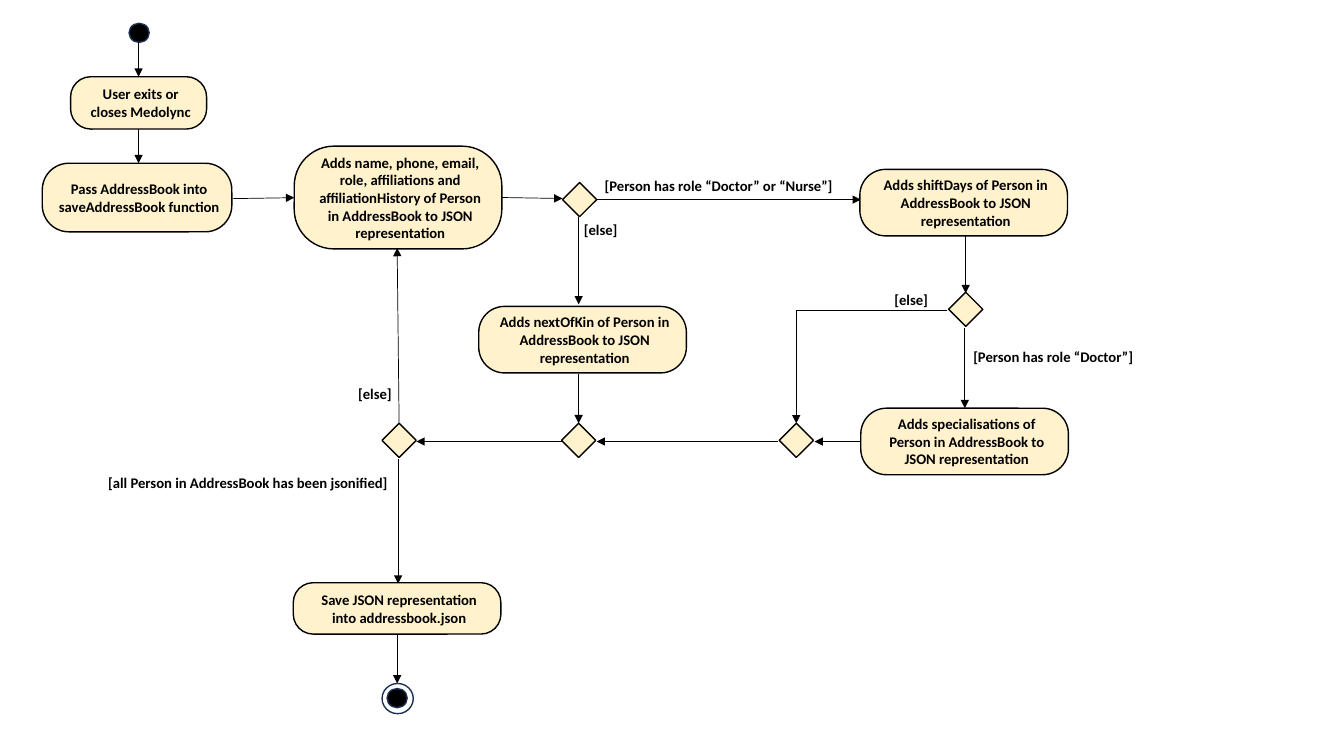
from dataclasses import dataclass

from lxml import etree
from pptx import Presentation
from pptx import util as u
from pptx.dml.color import RGBColor
from pptx.enum import shapes, text
from pptx.oxml.ns import qn


@dataclass(frozen=True)
class Theme:
    ink: RGBColor = RGBColor(0x00, 0x00, 0x00)
    cream: RGBColor = RGBColor(0xFF, 0xF2, 0xCC)
    navy: RGBColor = RGBColor(0x1E, 0x32, 0x56)
    font: str = "Calibri"
    size: float = 10.5
    outline: float = 1
    flow: float = 0.5
    corner: float = 0.387


THEME = Theme()
FONT = {"name": THEME.font, "size": u.Pt(THEME.size), "bold": True}
FRAME = {"word_wrap": True, "vertical_anchor": text.MSO_ANCHOR.MIDDLE,
         "margin_top": u.Pt(3.6), "margin_bottom": u.Pt(3.6),
         "margin_left": u.Pt(7.2), "margin_right": u.Pt(7.2)}
ACTION_WIDTH = 148.3
ACTION_HEIGHT = 47.5
CAPTION_WIDTH = 135.4
CAPTION_SHIFT = 1.5
LABEL_HEIGHT = 20.2
DECISION_SIDE = 17.3
DOT = (14.4, 13.7)


def set_all(target, values):
    for name, value in values.items():
        setattr(target, name, value)


@dataclass
class Box:
    """A region of the page; its parts are placed from its top left corner."""
    page: object
    left: float
    top: float

    def place(self, x, y, width, height):
        return [u.Pt(n) for n in (self.left + x, self.top + y, width, height)]

    def shape(self, kind, x, y, width, height, fill=None, line=THEME.ink):
        shape = self.page.shapes.add_shape(kind, *self.place(x, y, width, height))
        shape.shadow.inherit = False
        if fill is None:
            shape.fill.background()
        else:
            shape.fill.solid()
            shape.fill.fore_color.rgb = fill
        shape.line.color.rgb = line
        shape.line.width = u.Pt(THEME.outline)
        return shape

    def label(self, words, x, y, width, height=LABEL_HEIGHT):
        label = self.page.shapes.add_textbox(*self.place(x, y, width, height))
        set_all(label.text_frame, FRAME)
        para = label.text_frame.paragraphs[0]
        para.alignment = text.PP_ALIGN.CENTER
        span = para.add_run()
        span.text = words
        set_all(span.font, FONT)
        span.font.color.rgb = THEME.ink

    def action(self, words, x, y, width=ACTION_WIDTH, height=ACTION_HEIGHT,
               caption=CAPTION_WIDTH):
        shape = self.shape(shapes.MSO_SHAPE.ROUNDED_RECTANGLE,
                           x, y, width, height, THEME.cream)
        shape.adjustments[0] = THEME.corner
        inset = (width - caption) / 2 + CAPTION_SHIFT
        self.label(words, x + inset, y, caption, height)

    def decision(self, center_x, center_y):
        half = DECISION_SIDE / 2
        shape = self.shape(shapes.MSO_SHAPE.RECTANGLE, center_x - half,
                           center_y - half, DECISION_SIDE, DECISION_SIDE,
                           THEME.cream)
        shape.rotation = 45

    def dot(self, x, y):
        self.shape(shapes.MSO_SHAPE.OVAL, x, y, *DOT, THEME.ink, THEME.navy)

    def arrow(self, x1, y1, x2, y2, kind=shapes.MSO_CONNECTOR.STRAIGHT):
        arrow = self.page.shapes.add_connector(
            kind, *self.place(x1, y1, 0, 0)[:2], *self.place(x2, y2, 0, 0)[:2])
        arrow.line.color.rgb = THEME.ink
        arrow.line.width = u.Pt(THEME.flow)
        etree.SubElement(arrow.line._get_or_add_ln(), qn("a:tailEnd"), type="triangle")
        etree.SubElement(arrow._element.spPr, qn("a:effectLst"))
        return arrow

    def corner_arrow(self, x1, y1, x2, y2):
        """Runs level first, then turns once at its end."""
        arrow = self.arrow(x1, y1, x2, y2, shapes.MSO_CONNECTOR.ELBOW)
        geometry = arrow._element.spPr.find(qn("a:prstGeom"))
        guides = geometry.find(qn("a:avLst"))
        if guides is None:
            guides = etree.SubElement(geometry, qn("a:avLst"))
        etree.SubElement(guides, qn("a:gd"), name="adj1", fmla="val 100000")


def opening(box):
    # Start, exit and hand-over
    box.dot(62, 0)
    box.arrow(68.8, 13.7, 68.8, 38.2)
    box.action("User exits or closes Medolync", 20.2, 38.2, 97.2, 37.4, 95)
    box.arrow(68.8, 75.6, 68.8, 100)
    box.action("Pass AddressBook into saveAddressBook function",
               0, 100, CAPTION_WIDTH, 49)
    box.arrow(136.1, 125.3, 180, 124.6)


def person_loop(box):
    # Common fields, with the way back for the next person
    box.action("Adds name, phone, email, role, affiliations and "
               "affiliationHistory of Person in AddressBook to JSON "
               "representation", 0, 0, height=73.4)
    box.arrow(148.4, 36.7, 191.6, 37.4)
    box.decision(74.9, 210.2)
    box.arrow(74.9, 198, 73.5, 72.7)
    box.label("[else]", 35.3, 167, 44.6)


def role_branch(box):
    # Doctor or nurse, or else next of kin
    box.decision(72, 20.2)
    box.arrow(84.2, 20.2, 272.9, 20.2)
    box.label("[Person has role “Doctor” or “Nurse”]", 79.2, 0, 184.3)
    box.arrow(71.3, 32.4, 71.3, 95)
    box.label("[else]", 64.8, 31.7, 44.6)
    box.action("Adds nextOfKin of Person in AddressBook to JSON representation",
               0, 96.5)
    box.arrow(71.3, 144.7, 71.3, 180)
    box.decision(71.3, 192.2)
    box.arrow(59.8, 193, -44.6, 193)


def staff_branch(box):
    # Shift days, then specialisations for doctors
    box.action("Adds shiftDays of Person in AddressBook to JSON representation",
               62.2, 0)
    box.arrow(137.8, 47.5, 137.8, 88.5)
    box.decision(137.8, 100)
    box.arrow(137.2, 113, 137.2, 170.6)
    box.label("[Person has role “Doctor”]", 108.2, 123.8, 184.3)
    box.action("Adds specialisations of Person in AddressBook to JSON "
               "representation", 62.9, 170.6)
    # Both ways meet again
    box.decision(16.8, 193.6)
    box.corner_arrow(124.8, 100.8, 16.8, 181.4)
    box.label("[else]", 76.6, 82.8, 44.6)
    box.arrow(62.9, 194.4, 29.8, 194.4)
    box.arrow(3.8, 194.4, -125.8, 194.4)


def closing(box):
    # Save and finish
    box.arrow(218.2, 0, 218.2, 89.3)
    box.label("[all Person in AddressBook has been jsonified]", 0, 7.2, 221.8)
    box.action("Save JSON representation into addressbook.json",
               143.3, 88.6, height=36.7)
    box.arrow(217.5, 125.3, 217.5, 160.6)
    box.dot(210.3, 164.2)
    box.shape(shapes.MSO_SHAPE.OVAL, 206.7, 160.6, 22.3, 21.6, line=THEME.navy)


deck = Presentation()
deck.slide_width, deck.slide_height = u.Pt(960), u.Pt(540)
page = deck.slides.add_slide(deck.slide_layouts[6])

for region, left, top in [(opening, 30.2, 16.6),
                          (person_loop, 210.2, 104.4),
                          (role_branch, 342, 122.4),
                          (staff_branch, 552, 121),
                          (closing, 66.2, 327.6)]:
    region(Box(page, left, top))

deck.save("out.pptx")
